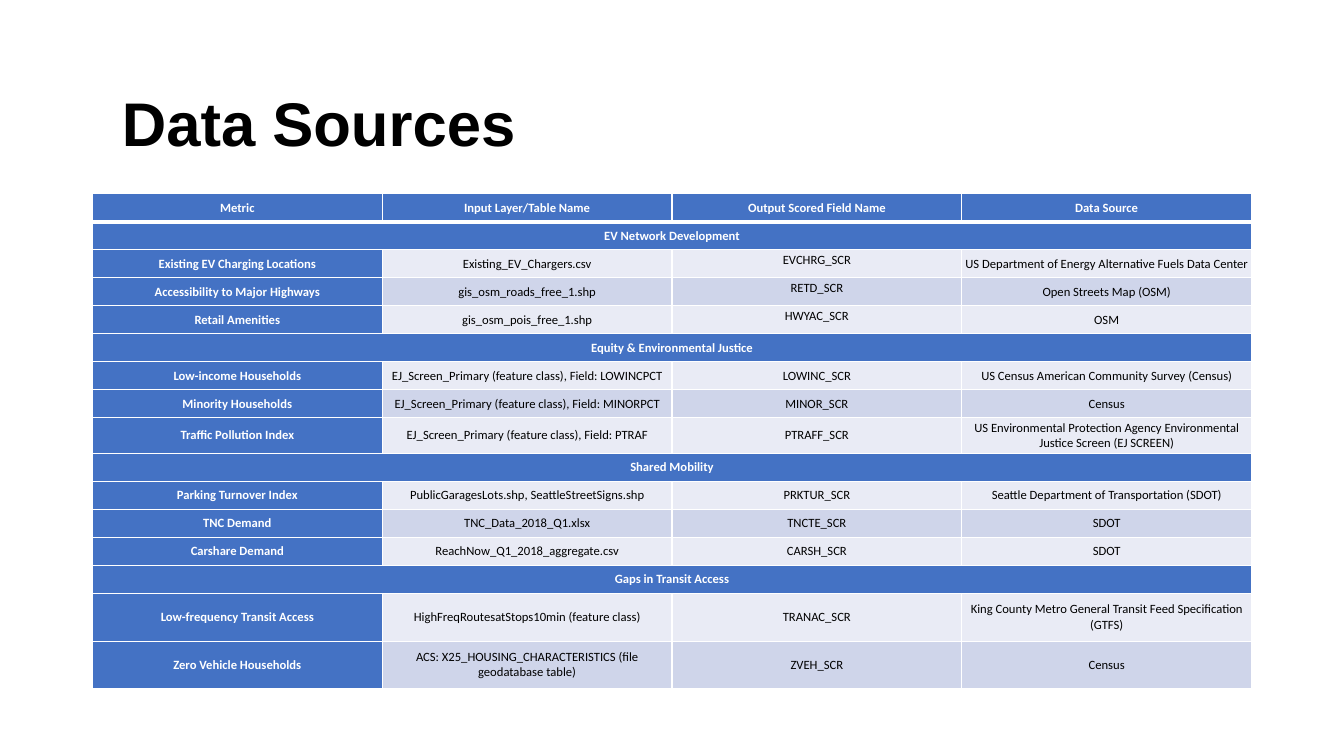
"""Build the Data Sources slide with its table of metrics grouped by theme."""
from dataclasses import dataclass

from lxml import etree
from pptx import Presentation
from pptx.dml.color import RGBColor
from pptx.enum.text import MSO_ANCHOR, PP_ALIGN
from pptx.oxml.ns import qn
from pptx.slide import Slide
from pptx.table import Table, _Cell
from pptx.util import Emu, Pt

MIDDLE, TOP = MSO_ANCHOR.MIDDLE, MSO_ANCHOR.TOP
CENTER = PP_ALIGN.CENTER
EMU_PER_PX = 6350
COLORS = {
    "black": "000000",
    "white": "FFFFFF",
    "blue": "4472C4",
    "light": "E9EBF5",
    "dark": "CFD5EA",
}
COLUMN_WIDTH, ROW_HEIGHT, TALL_ROW_HEIGHT = 414, 40, 68
CELL_MARGIN = 4
HEADINGS = ("Metric", "Input Layer/Table Name", "Output Scored Field Name", "Data Source")


@dataclass(frozen=True)
class Metric:
    name: str
    input_layer: str
    output_field: str
    source: str


@dataclass(frozen=True)
class Theme:
    title: str
    metrics: tuple[Metric, ...]
    height: int = ROW_HEIGHT
    output_anchor: MSO_ANCHOR = MIDDLE


THEMES = (
    Theme("EV Network Development", (
        Metric("Existing EV Charging Locations", "Existing_EV_Chargers.csv",
               "EVCHRG_SCR", "US Department of Energy Alternative Fuels Data Center"),
        Metric("Accessibility to Major Highways", "gis_osm_roads_free_1.shp",
               "RETD_SCR", "Open Streets Map (OSM)"),
        Metric("Retail Amenities", "gis_osm_pois_free_1.shp", "HWYAC_SCR", "OSM"),
    ), output_anchor=TOP),
    Theme("Equity & Environmental Justice", (
        Metric("Low-income Households", "EJ_Screen_Primary (feature class), Field: LOWINCPCT",
               "LOWINC_SCR", "US Census American Community Survey (Census)"),
        Metric("Minority Households", "EJ_Screen_Primary (feature class), Field: MINORPCT",
               "MINOR_SCR", "Census"),
        Metric("Traffic Pollution Index", "EJ_Screen_Primary (feature class), Field: PTRAF",
               "PTRAFF_SCR",
               "US Environmental Protection Agency Environmental Justice Screen (EJ SCREEN)"),
    )),
    Theme("Shared Mobility", (
        Metric("Parking Turnover Index", "PublicGaragesLots.shp, SeattleStreetSigns.shp",
               "PRKTUR_SCR", "Seattle Department of Transportation (SDOT)"),
        Metric("TNC Demand", "TNC_Data_2018_Q1.xlsx", "TNCTE_SCR", "SDOT"),
        Metric("Carshare Demand", "ReachNow_Q1_2018_aggregate.csv", "CARSH_SCR", "SDOT"),
    )),
    Theme("Gaps in Transit Access", (
        Metric("Low-frequency Transit Access", "HighFreqRoutesatStops10min (feature class)",
               "TRANAC_SCR", "King County Metro General Transit Feed Specification (GTFS)"),
        Metric("Zero Vehicle Households",
               "ACS: X25_HOUSING_CHARACTERISTICS (file geodatabase table)",
               "ZVEH_SCR", "Census"),
    ), height=TALL_ROW_HEIGHT),
)


def px(length: int) -> Emu:
    return Emu(length * EMU_PER_PX)


def color(name: str) -> RGBColor:
    return RGBColor.from_string(COLORS[name])


def add_borders(cell: _Cell, top: int, bottom: int) -> None:
    properties = cell._tc.get_or_add_tcPr()
    widths = {"a:lnL": 1, "a:lnR": 1, "a:lnT": top, "a:lnB": bottom}
    for position, (side, width) in enumerate(widths.items()):
        border = etree.Element(qn(side), w=str(Pt(width)))
        fill = etree.SubElement(border, qn("a:solidFill"))
        etree.SubElement(fill, qn("a:srgbClr"), val=COLORS["white"])
        properties.insert(position, border)


def fill_cell(cell: _Cell, text: str, fill: str, anchor: MSO_ANCHOR = MIDDLE,
              top: int = 1, bottom: int = 1) -> None:
    cell.fill.solid()
    cell.fill.fore_color.rgb = color(fill)
    add_borders(cell, top, bottom)
    cell.vertical_anchor = anchor
    cell.margin_left = cell.margin_right = px(CELL_MARGIN)
    cell.margin_top = cell.margin_bottom = px(CELL_MARGIN)
    cell.text_frame.text = text
    paragraph = cell.text_frame.paragraphs[0]
    paragraph.alignment = CENTER
    emphasized = fill == "blue"
    paragraph.font.name = "Calibri"
    paragraph.font.size = Pt(9)
    paragraph.font.bold = emphasized
    paragraph.font.color.rgb = color("white" if emphasized else "black")


def fill_theme(table: Table, first_row: int, theme: Theme) -> None:
    top = 3 if first_row == 1 else 1
    for column in range(len(HEADINGS)):
        fill_cell(table.cell(first_row, column), "" if column else theme.title, "blue", top=top)
    table.cell(first_row, 0).merge(table.cell(first_row, len(HEADINGS) - 1))
    for index, metric in enumerate(theme.metrics):
        row = first_row + 1 + index
        table.rows[row].height = px(theme.height)
        band = "dark" if index % 2 else "light"
        fill_cell(table.cell(row, 0), metric.name, "blue")
        fill_cell(table.cell(row, 1), metric.input_layer, band)
        fill_cell(table.cell(row, 2), metric.output_field, band, theme.output_anchor)
        fill_cell(table.cell(row, 3), metric.source, band)


def add_title(slide: Slide) -> None:
    title = slide.shapes.add_textbox(px(160), px(108), px(1627), px(145)).text_frame
    title.word_wrap = True
    title.vertical_anchor = MIDDLE
    title.text = "Data Sources"
    heading = title.paragraphs[0]
    heading.line_spacing = 0.9
    heading.font.name = "Arial"
    heading.font.size = Pt(44)
    heading.font.bold = True
    heading.font.color.rgb = color("black")


def add_sources(slide: Slide) -> None:
    row_count = 1 + sum(1 + len(theme.metrics) for theme in THEMES)
    table = slide.shapes.add_table(
        row_count, len(HEADINGS), px(132), px(277),
        px(COLUMN_WIDTH * len(HEADINGS)), px(ROW_HEIGHT * row_count),
    ).table
    for column, heading in enumerate(HEADINGS):
        table.columns[column].width = px(COLUMN_WIDTH)
        fill_cell(table.cell(0, column), heading, "blue", bottom=3)
    first_row = 1
    for theme in THEMES:
        fill_theme(table, first_row, theme)
        first_row += 1 + len(theme.metrics)


def main() -> None:
    presentation = Presentation()
    presentation.slide_width, presentation.slide_height = px(1920), px(1080)
    slide = presentation.slides.add_slide(presentation.slide_layouts[6])
    add_title(slide)
    add_sources(slide)
    presentation.save("out.pptx")


if __name__ == "__main__":
    main()
